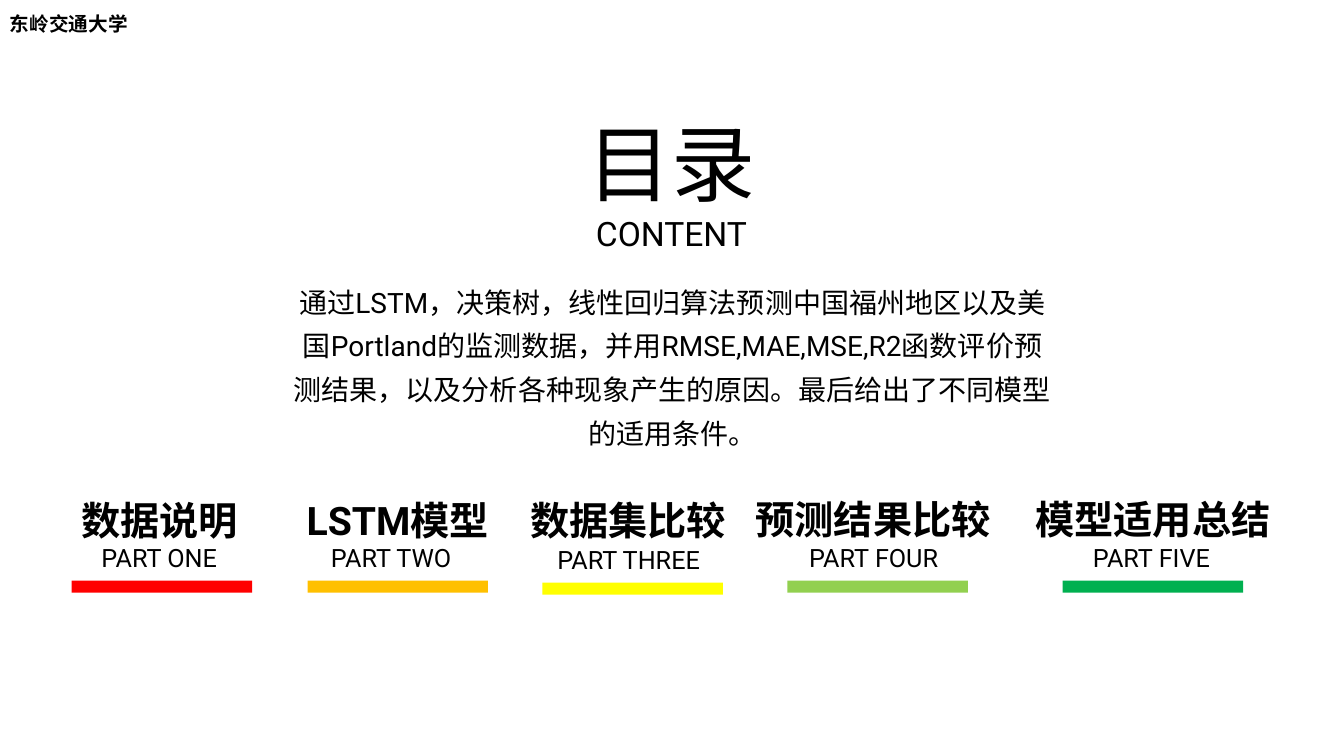
"""Build the contents slide with five colour-coded sections."""
from dataclasses import dataclass

from pptx import Presentation
from pptx.dml.color import RGBColor
from pptx.enum.shapes import MSO_SHAPE as Shape
from pptx.enum.text import MSO_AUTO_SIZE as AutoSize, PP_ALIGN as Align
from pptx.util import Emu, Pt


@dataclass(frozen=True)
class Theme:
    font: str = "Roboto"
    ink: str = "000000"
    bars: tuple = ("FF0000", "FFC000", "FFFF00", "92D050", "00B050")
    heading: int = 60
    subheading: int = 24
    section: int = 28
    summary: int = 20
    caption: int = 18
    school: int = 14


theme = Theme()
PX = 9144
BAR_WIDTH, BAR_HEIGHT = 179, 12


def box(left, top, width, height):
    return [Emu(length * PX) for length in (left, top, width, height)]


def add_text(bounds, lines, bold=False, align=Align.CENTER, spacing=None, wrap=True):
    frame = slide.shapes.add_textbox(*box(*bounds)).text_frame
    frame.word_wrap = wrap
    frame.auto_size = AutoSize.SHAPE_TO_FIT_TEXT
    frame.text = "\n".join(text for text, size in lines)
    for paragraph, (text, size) in zip(frame.paragraphs, lines):
        paragraph.alignment = align
        paragraph.line_spacing = spacing
        paragraph.font.name = theme.font
        paragraph.font.size = Pt(size)
        paragraph.font.bold = bold
        paragraph.font.color.rgb = RGBColor.from_string(theme.ink)


presentation = Presentation()
presentation.slide_width, presentation.slide_height = Emu(1333 * PX), Emu(750 * PX)
slide = presentation.slides.add_slide(presentation.slide_layouts[6])

add_text((0, 7, 138, 34), [("东岭交通大学", theme.school)],
         bold=True, align=Align.LEFT, wrap=False)
add_text((572, 106, 188, 151),
         [("目录", theme.heading), ("CONTENT", theme.subheading)], wrap=False)

summary = (
    "通过LSTM，决策树，线性回归算法预测中国福州地区以及美国Portland的监测数据，"
    "并用RMSE,MAE,MSE,R2函数评价预测结果，以及分析各种现象产生的原因。"
    "最后给出了不同模型的适用条件。"
)
add_text((279, 268, 776, 181), [(summary, theme.summary)], spacing=1.3)

sections = [
    ("数据说明", (62, 473, 192, 65), "PART ONE", (78, 524, 160, 49), (71, 576)),
    ("LSTM模型", (289, 473, 211, 65), "PART TWO", (301, 524, 174, 49), (305, 576)),
    ("数据集比较", (483, 473, 280, 65), "PART THREE", (530, 526, 187, 45), (538, 578)),
    ("预测结果比较", (726, 472, 280, 65), "PART FOUR", (773, 524, 187, 45), (781, 576)),
    ("模型适用总结", (1010, 472, 267, 65), "PART FIVE", (1065, 524, 154, 45), (1054, 576)),
]
for (title, title_box, caption, caption_box, bar_corner), color in zip(sections, theme.bars):
    add_text(caption_box, [(caption, theme.caption)], spacing=1.3)
    add_text(title_box, [(title, theme.section)], bold=True, spacing=1.3)
    bar = slide.shapes.add_shape(Shape.RECTANGLE, *box(*bar_corner, BAR_WIDTH, BAR_HEIGHT))
    bar.shadow.inherit = False
    bar.fill.solid()
    bar.fill.fore_color.rgb = RGBColor.from_string(color)
    bar.line.fill.background()

presentation.save("out.pptx")
